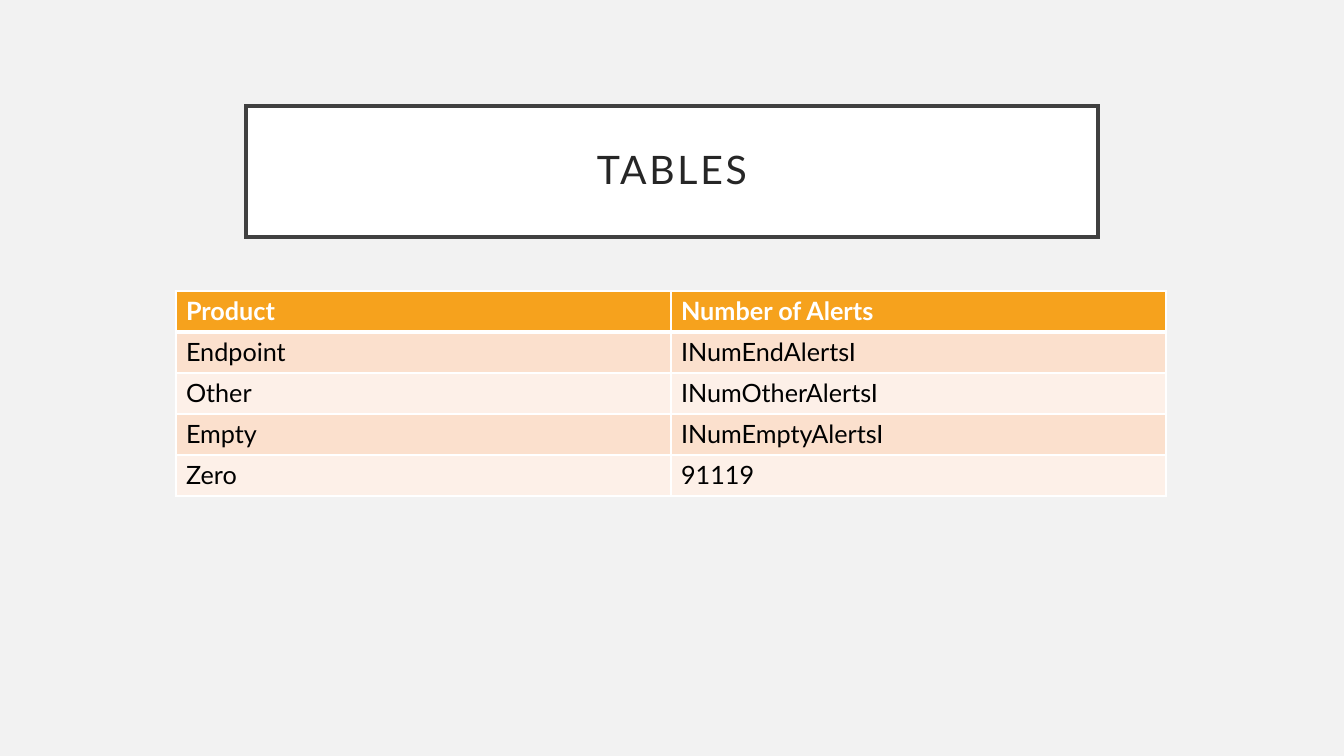
from dataclasses import dataclass

from lxml.etree import SubElement
from pptx import Presentation
from pptx.dml.color import RGBColor as Rgb
from pptx.enum.text import MSO_ANCHOR as Anchor, PP_ALIGN as Align
from pptx.oxml.ns import qn
from pptx.util import Emu, Pt

TITLE = "TABLES"
ALERT_ROWS = [
    ("Product", "Number of Alerts"),
    ("Endpoint", "INumEndAlertsI"),
    ("Other", "INumOtherAlertsI"),
    ("Empty", "INumEmptyAlertsI"),
    ("Zero", "91119"),
]

SLIDE_SIZE = (1344, 756)
TITLE_BOX = (246, 106, 852, 131)
TITLE_INSET = 20
TABLE_LEFT, TABLE_TOP = 176, 291
COLUMN_WIDTH, ROW_HEIGHT = 495, 41


@dataclass(frozen=True)
class Theme:
    """Colours, font and point sizes of the slide."""
    font: str = "Lato"
    background: str = "F2F2F2"
    white: str = "FFFFFF"
    title_line: str = "404040"
    title_text: str = "262626"
    header: str = "F6A21D"
    body_text: str = "000000"
    bands: tuple = ("FBE0CD", "FDF0E8")
    title_size: float = 28
    title_spacing: float = 2
    title_border: float = 2.5
    cell_size: float = 18
    cell_border: float = 1
    header_rule: float = 3


THEME = Theme()


def px(length):
    """Turn pixels into EMU at 100.8 pixels to the inch."""
    return Emu(round(length * 914400 / 100.8))


def fill_solid(fill, color):
    """Give a fill one plain colour."""
    fill.solid()
    fill.fore_color.rgb = Rgb.from_string(color)


def set_font(paragraph, size, color, bold=False):
    """Set the font of a whole paragraph."""
    font = paragraph.font
    font.name, font.size, font.bold = THEME.font, Pt(size), bold
    font.color.rgb = Rgb.from_string(color)


def set_borders(cell, bottom):
    """Draw white borders round a cell, the lower one with its own width."""
    properties = cell._tc.get_or_add_tcPr()
    widths = dict.fromkeys(("lnL", "lnR", "lnT"), THEME.cell_border)
    widths["lnB"] = bottom
    for position, (side, width) in enumerate(widths.items()):
        line = SubElement(properties, qn(f"a:{side}"), w=str(Pt(width)))
        solid = SubElement(line, qn("a:solidFill"))
        SubElement(solid, qn("a:srgbClr"), val=THEME.white)
        properties.insert(position, line)


def add_title(slide):
    """Place the framed title in the title placeholder."""
    title = slide.shapes.title
    title.left, title.top, title.width, title.height = map(px, TITLE_BOX)
    fill_solid(title.fill, THEME.white)
    title.line.color.rgb = Rgb.from_string(THEME.title_line)
    title.line.width = Pt(THEME.title_border)
    outline = title._element.spPr.find(qn("a:ln"))
    SubElement(outline, qn("a:miter"), lim="800000")
    frame = title.text_frame
    frame.text = TITLE
    frame.word_wrap = True
    frame.vertical_anchor = Anchor.MIDDLE
    frame.margin_left = frame.margin_right = px(TITLE_INSET)
    frame.margin_top = frame.margin_bottom = px(TITLE_INSET)
    paragraph = frame.paragraphs[0]
    paragraph.alignment, paragraph.line_spacing = Align.CENTER, 0.9
    set_font(paragraph, THEME.title_size, THEME.title_text)
    spacing = str(round(THEME.title_spacing * 100))
    paragraph.runs[0].font._element.set("spc", spacing)


def add_alert_table(slide):
    """Add the table with its header and banded rows."""
    row_count, column_count = len(ALERT_ROWS), len(ALERT_ROWS[0])
    table = slide.shapes.add_table(
        row_count, column_count, px(TABLE_LEFT), px(TABLE_TOP),
        px(COLUMN_WIDTH * column_count), px(ROW_HEIGHT * row_count)).table
    for row_index, values in enumerate(ALERT_ROWS):
        is_header = row_index == 0
        band = THEME.bands[(row_index - 1) % len(THEME.bands)]
        for column_index, value in enumerate(values):
            cell = table.cell(row_index, column_index)
            cell.text = value
            fill_solid(cell.fill, THEME.header if is_header else band)
            set_borders(cell, THEME.header_rule if is_header
                        else THEME.cell_border)
            set_font(cell.text_frame.paragraphs[0], THEME.cell_size,
                     THEME.white if is_header else THEME.body_text, is_header)


def main():
    """Build and save the slide."""
    presentation = Presentation()
    presentation.slide_width, presentation.slide_height = map(px, SLIDE_SIZE)
    title_only = presentation.slide_layouts.get_by_name("Title Only")
    slide = presentation.slides.add_slide(title_only)
    fill_solid(slide.background.fill, THEME.background)
    add_title(slide)
    add_alert_table(slide)
    presentation.save("out.pptx")


main()
